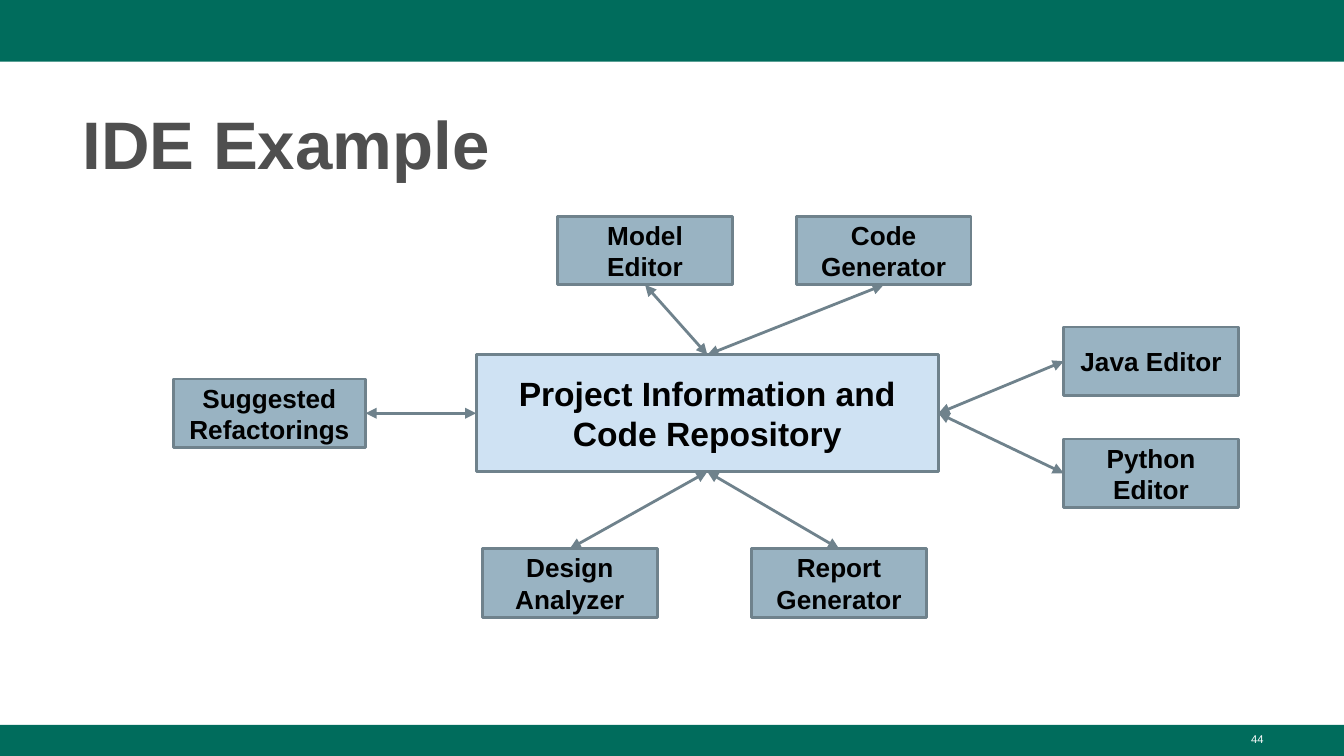
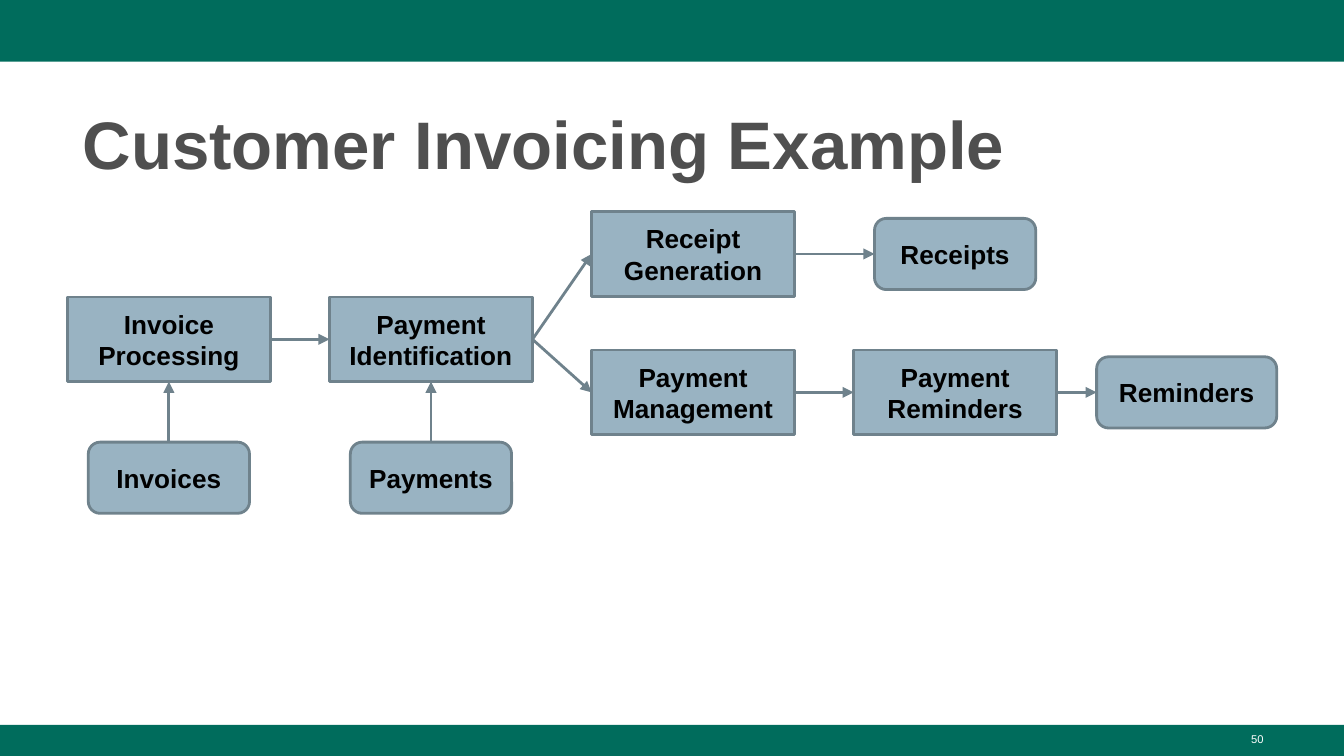
"""Builds two architecture slides: a repository IDE and an invoicing pipeline."""
from pptx import Presentation
from pptx.dml.color import RGBColor
from pptx.enum.shapes import MSO_CONNECTOR, MSO_SHAPE as SHAPE
from pptx.enum.text import MSO_ANCHOR as ANCHOR, PP_ALIGN as ALIGN
from pptx.oxml.ns import qn
from pptx.util import Inches, Pt
from lxml import etree

GREEN = RGBColor(0x00, 0x6C, 0x5C)
GREY = RGBColor(0x4F, 0x4F, 0x4F)
STEEL = RGBColor(0x99, 0xB3, 0xC2)
PALE = RGBColor(0xCF, 0xE2, 0xF3)
SLATE = RGBColor(0x6F, 0x82, 0x8C)
BLACK = RGBColor(0x00, 0x00, 0x00)
WHITE = RGBColor(0xFF, 0xFF, 0xFF)
FONT = "Arial"
TOP, LEFT, BOTTOM, RIGHT = range(4)

prs = Presentation()
prs.slide_width = Inches(10)
prs.slide_height = prs.slide_width * 9 // 16
CELL = prs.slide_width / 100


def add_box(s, text, cx, cy, w, h, kind=SHAPE.RECTANGLE, fill=STEEL, size=14):
    """Add a bordered box centred on a grid point."""
    sp = s.shapes.add_shape(kind, *(int(v * CELL) for v in (cx - w / 2, cy - h / 2, w, h)))
    sp.shadow.inherit = False
    sp.fill.solid()
    sp.fill.fore_color.rgb = fill
    sp.line.color.rgb = SLATE
    sp.line.width = Pt(1.5)
    tf = sp.text_frame
    tf.word_wrap = True
    tf.vertical_anchor = ANCHOR.MIDDLE
    tf.margin_left = tf.margin_right = tf.margin_top = tf.margin_bottom = Inches(0.1)
    tf.text = text
    p = tf.paragraphs[0]
    p.alignment = ALIGN.CENTER
    font = p.runs[0].font
    font.name, font.size, font.bold = FONT, Pt(size), True
    font.color.rgb = BLACK
    return sp


def add_arrow(s, start, start_site, end, end_site, ends=("tailEnd",)):
    """Glue an arrow between the connection sites of two boxes."""
    line = s.shapes.add_connector(MSO_CONNECTOR.STRAIGHT, 0, 0, 0, 0)
    line.begin_connect(start, start_site)
    line.end_connect(end, end_site)
    line.line.color.rgb = SLATE
    line.line.width = Pt(1.5)
    for end_tag in ends:
        etree.SubElement(line.line._get_or_add_ln(), qn("a:" + end_tag), type="triangle")
    etree.SubElement(line._element.spPr, qn("a:effectLst"))


layout = prs.slide_layouts.get_by_name("Title Only")
slides = []
for title, number in (("IDE Example", "44"), ("Customer Invoicing Example", "50")):
    s = prs.slides.add_slide(layout)
    slides.append(s)
    for top, height in ((0, 4.6), (53.95, 2.3)):
        band = s.shapes.add_shape(SHAPE.RECTANGLE, 0, int(top * CELL),
                                  prs.slide_width, int(height * CELL))
        band.shadow.inherit = False
        band.fill.solid()
        band.fill.fore_color.rgb = GREEN
        band.line.fill.background()

    sp = s.shapes.title
    sp.left, sp.top, sp.width, sp.height = (int(v * CELL) for v in (5.15, 6.85, 89.9, 7.3))
    tf = sp.text_frame
    tf.vertical_anchor = ANCHOR.BOTTOM
    tf.text = title
    p = tf.paragraphs[0]
    p.alignment = ALIGN.LEFT
    p.line_spacing = 1.08
    font = p.runs[0].font
    font.name, font.size, font.bold = FONT, Pt(36), True
    font.color.rgb = GREY

    tf = s.shapes.add_textbox(*(int(v * CELL) for v in (71.7, 54, 23.3, 2.3))).text_frame
    tf.word_wrap = True
    tf.text = number
    p = tf.paragraphs[0]
    p.alignment = ALIGN.RIGHT
    font = p.runs[0].font
    font.name, font.size = FONT, Pt(6)
    font.color.rgb = WHITE

ide, invoicing = slides

hub = add_box(ide, "Project Information and Code Repository", 52.63, 30.75, 34.4, 8.7,
              fill=PALE, size=18)
tools = (
    ("Model Editor", 48, 18.65, 13, BOTTOM, TOP),
    ("Code Generator", 65.75, 18.65, 13, BOTTOM, TOP),
    ("Java Editor", 85.65, 26.88, 13, LEFT, RIGHT),
    ("Python Editor", 85.65, 35.22, 13, LEFT, RIGHT),
    ("Report Generator", 62.43, 43.38, 13, TOP, BOTTOM),
    ("Design Analyzer", 42.4, 43.38, 13, TOP, BOTTOM),
    ("Suggested Refactorings", 20.05, 30.75, 14.3, RIGHT, LEFT),
)
for text, cx, cy, w, tool_site, hub_site in tools:
    tool = add_box(ide, text, cx, cy, w, 5.1)
    add_arrow(ide, tool, tool_site, hub, hub_site, ("headEnd", "tailEnd"))

cols = [12.57 + 19.5 * i for i in range(4)]
RECEIPT_ROW, INPUT_ROW, REMINDER_ROW, STORE_ROW = 18.9, 25.25, 29.2, 35.55
boxes = {}
for text, cx, cy in (
    ("Invoice Processing", cols[0], INPUT_ROW),
    ("Payment Identification", cols[1], INPUT_ROW),
    ("Receipt Generation", cols[2], RECEIPT_ROW),
    ("Payment Management", cols[2], REMINDER_ROW),
    ("Payment Reminders", cols[3], REMINDER_ROW),
):
    boxes[text] = add_box(invoicing, text, cx, cy, 15.1, 6.3)
for text, cx, cy, w in (
    ("Invoices", cols[0], STORE_ROW, 12),
    ("Payments", cols[1], STORE_ROW, 12),
    ("Receipts", cols[3], RECEIPT_ROW, 12),
    ("Reminders", 88.3, REMINDER_ROW, 13.4),
):
    boxes[text] = add_box(invoicing, text, cx, cy, w, 5.3, SHAPE.ROUNDED_RECTANGLE)

for start, end in (
    ("Invoice Processing", "Payment Identification"),
    ("Payment Identification", "Receipt Generation"),
    ("Receipt Generation", "Receipts"),
    ("Payment Identification", "Payment Management"),
    ("Payment Management", "Payment Reminders"),
    ("Payment Reminders", "Reminders"),
):
    add_arrow(invoicing, boxes[start], RIGHT, boxes[end], LEFT)
for start, end in (("Invoices", "Invoice Processing"), ("Payments", "Payment Identification")):
    add_arrow(invoicing, boxes[start], TOP, boxes[end], BOTTOM)

prs.save("out.pptx")
